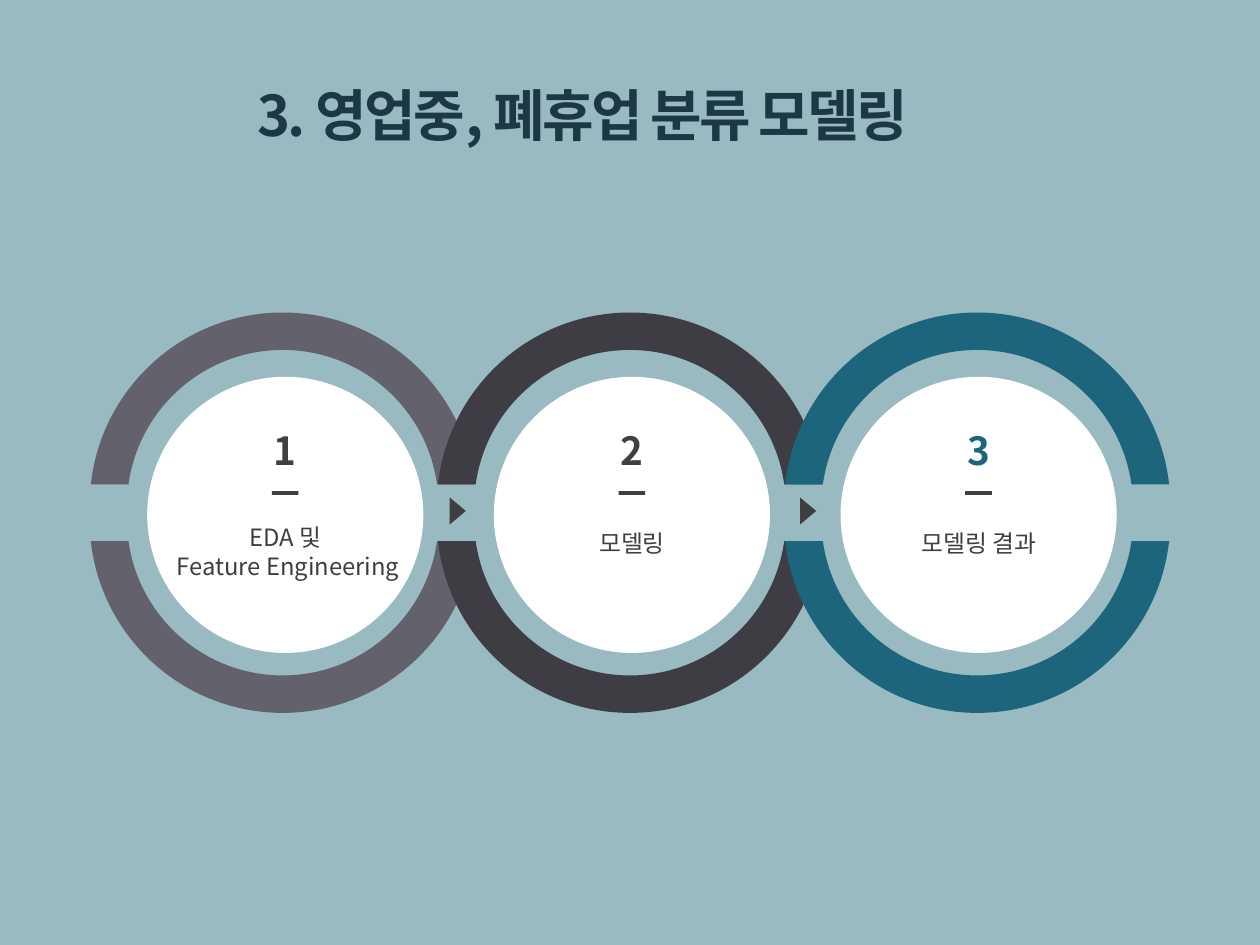
import math

import pptx
import pptx.dml.color
import pptx.enum.shapes
import pptx.enum.text
import pptx.oxml
import pptx.oxml.ns
import pptx.util

Pt = pptx.util.Pt
RGB = pptx.dml.color.RGBColor
MSO = pptx.enum.shapes.MSO_SHAPE
ALIGN = pptx.enum.text.PP_ALIGN

BACK = RGB(0x98, 0xBA, 0xC0)
WHITE = RGB(0xFF, 0xFF, 0xFF)
NAVY = RGB(0x1C, 0x38, 0x44)
MAUVE = RGB(0x63, 0x61, 0x6B)
COAL = RGB(0x3E, 0x3D, 0x43)
TEAL = RGB(0x1C, 0x65, 0x7C)
DARK = RGB(0x3F, 0x3F, 0x3F)
GREY = RGB(0x40, 0x40, 0x40)

FONT = "Noto Sans CJK KR"
LABEL = {"size": Pt(13.6), "bold": False, "name": FONT}
COUNT = {"size": Pt(22.1), "bold": True, "name": FONT}
TITLE = {"size": Pt(32), "bold": True, "name": FONT}

# Ring centres and radii; each half is shifted off the middle by SHIFT
# and cut level at CUT from its own centre
RING_X, RING_STEP, RING_Y = 161.6, 198.4, 293
OUTER, INNER, SHIFT, CUT = 110.4, 89, 4, 12.2
# Centre of the first disc, and the step to the next
DISC_X, DISC_Y, DISC_STEP, DISC_SIZE = 163, 294.2, 198.1, 157.8

# Ring colour, number colour, label lines, label top
STEPS = [
    (MAUVE, GREY, ["EDA 및", " Feature Engineering"], 295.2),
    (COAL, GREY, ["모델링"], 298.8),
    (TEAL, TEAL, ["모델링 결과"], 298.8),
]


def paint(shape, color):
    shape.shadow.inherit = False
    shape.fill.solid()
    shape.fill.fore_color.rgb = color
    shape.line.fill.background()


def add_form(slide, points, color):
    grid = [(round(x * 100), round(y * 100)) for x, y in points]
    pen = slide.shapes.build_freeform(*grid[0], scale=Pt(1) / 100)
    pen.add_line_segments(grid[1:], close=True)
    shape = pen.convert_to_shape()
    paint(shape, color)
    return shape


def add_shape(slide, kind, mid_x, mid_y, width, height, color):
    box = [Pt(v) for v in (mid_x - width / 2, mid_y - height / 2, width, height)]
    paint(slide.shapes.add_shape(kind, *box), color)


def arc(mid_x, radius, side):
    """Two cubic curves for a half ring; side is 1 below, -1 above."""
    first = math.asin(CUT / radius)
    turn = math.pi / 2 - first
    pull = 4 / 3 * math.tan(turn / 4)

    def spot(angle, lean):
        x = math.cos(angle) - lean * math.sin(angle)
        y = math.sin(angle) + lean * math.cos(angle)
        return mid_x + radius * x, RING_Y + side * (SHIFT + radius * y)

    points = [spot(first, 0)]
    for angle in (first, first + turn):
        points += [spot(angle, pull), spot(angle + turn, -pull), spot(angle + turn, 0)]
    return points


def curve(shape, starts):
    """Join three line segments into one cubic curve at each start."""
    name = pptx.oxml.ns.qn
    lines = list(shape._element.iter(name("a:lnTo")))
    for start in starts:
        trio = lines[start:start + 3]
        cubic = pptx.oxml.parse_xml(f'<a:cubicBezTo {pptx.oxml.ns.nsdecls("a")}/>')
        trio[0].addprevious(cubic)
        for line in trio:
            cubic.append(line.find(name("a:pt")))
            line.getparent().remove(line)


def add_ring(slide, mid_x, color):
    for side in (1, -1):
        edge = arc(mid_x, OUTER, side) + arc(mid_x, INNER, side)[::-1]
        curve(add_form(slide, edge, color), (0, 3, 7, 10))


def style(para, text, form, color, align):
    para.alignment = align
    run = para.add_run()
    run.text = text
    for name, value in form.items():
        setattr(run.font, name, value)
    run.font.color.rgb = color
    return run


def add_text(slide, mid_x, top, width, height, lines, form, color):
    box = slide.shapes.add_textbox(Pt(mid_x - width / 2), Pt(top), Pt(width), Pt(height))
    frame = box.text_frame
    frame.word_wrap = False
    frame.auto_size = pptx.enum.text.MSO_AUTO_SIZE.SHAPE_TO_FIT_TEXT
    for i, line in enumerate(lines):
        para = frame.add_paragraph() if i else frame.paragraphs[0]
        style(para, line, form, color, ALIGN.CENTER)


def set_title(slide, text):
    title = slide.shapes.title
    place = {"left": 139.7, "top": 42.5, "width": 469.4, "height": 50.4}
    for name, value in place.items():
        setattr(title, name, Pt(value))
    frame = title.text_frame
    frame.vertical_anchor = pptx.enum.text.MSO_ANCHOR.MIDDLE
    para = frame.paragraphs[0]
    para.line_spacing = 0.9
    run = style(para, text, TITLE, NAVY, ALIGN.LEFT)
    run.font._element.set("spc", "-150")


def main():
    deck = pptx.Presentation()
    deck.slide_width, deck.slide_height = Pt(720), Pt(540)
    slide = deck.slides.add_slide(deck.slide_layouts[5])
    slide.background.fill.solid()
    slide.background.fill.fore_color.rgb = BACK
    set_title(slide, "3. 영업중, 폐휴업 분류 모델링")

    # Arrows between the rings
    for left in (257, 457.2):
        add_form(slide, [(left, 284.3), (left + 9.2, 292), (left, 299.7)], DARK)

    # Rings, each over the one before
    for i, step in enumerate(STEPS):
        add_ring(slide, RING_X + i * RING_STEP, step[0])

    # Discs with number, dash and label
    for i, (_, color, lines, top) in enumerate(STEPS):
        mid = DISC_X + i * DISC_STEP
        add_shape(slide, MSO.OVAL, mid, DISC_Y, DISC_SIZE, DISC_SIZE, WHITE)
        add_shape(slide, MSO.RECTANGLE, mid, 281.8, 15.2, 2.2, DARK)
        width = 145 if len(lines) > 1 else 14.4 * len(lines[0]) + 13
        add_text(slide, mid, top, width, 7.4 + 16.4 * len(lines), lines, LABEL, COAL)
        add_text(slide, mid, 240.5, 27.4, 33.8, [str(i + 1)], COUNT, color)

    deck.save("out.pptx")


if __name__ == "__main__":
    main()
